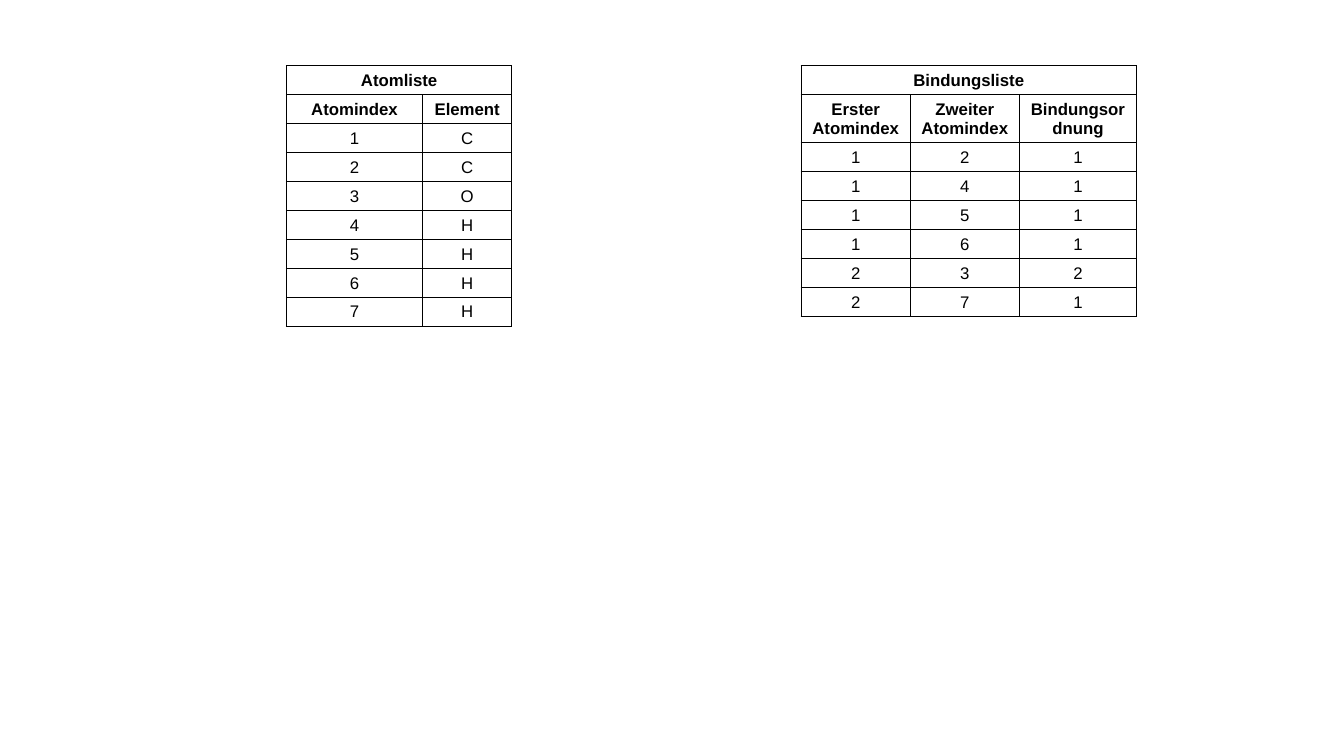
"""Builds a slide with the atom list and the bond list of a molecule."""
from lxml import etree
from pptx import Presentation
from pptx.dml.color import RGBColor
from pptx.enum.text import MSO_ANCHOR, PP_ALIGN
from pptx.oxml.ns import qn
from pptx.util import Cm, Pt

CENTER = PP_ALIGN.CENTER
MIDDLE = MSO_ANCHOR.MIDDLE
BLACK = "000000"
TOP = 1.66
ROW_HEIGHT = 0.73


def color(value):
    return RGBColor.from_string(value)


def add_borders(cell, value, width):
    tc_pr = cell._tc.get_or_add_tcPr()
    for i, side in enumerate(("a:lnL", "a:lnR", "a:lnT", "a:lnB")):
        ln = etree.Element(qn(side), w=str(Pt(width)))
        fill = etree.SubElement(ln, qn("a:solidFill"))
        etree.SubElement(fill, qn("a:srgbClr"), val=value)
        tc_pr.insert(i, ln)


tables = [
    {
        "title": "Atomliste",
        "left": 7.22,
        "widths": [3.43, 2.25],
        "header_height": ROW_HEIGHT,
        "header": ["Atomindex", "Element"],
        "rows": [(i, element) for i, element in enumerate("CCOHHHH", 1)],
    },
    {
        "title": "Bindungsliste",
        "left": 20.19,
        "widths": [2.75, 2.75, 2.95],
        "header_height": 1.21,
        "header": ["Erster Atomindex", "Zweiter Atomindex", "Bindungsordnung"],
        "rows": [(1, 2, 1), (1, 4, 1), (1, 5, 1), (1, 6, 1), (2, 3, 2), (2, 7, 1)],
    },
]

prs = Presentation()
prs.slide_width = Cm(33.87)
prs.slide_height = Cm(19.05)
s = prs.slides.add_slide(prs.slide_layouts[6])

for data in tables:
    widths = data["widths"]
    title_row = [data["title"]] + [""] * (len(widths) - 1)
    rows = [title_row, data["header"], *data["rows"]]
    heights = [ROW_HEIGHT, data["header_height"]] + [ROW_HEIGHT] * len(data["rows"])
    frame = s.shapes.add_table(len(rows), len(widths), Cm(data["left"]), Cm(TOP),
                               Cm(sum(widths)), Cm(sum(heights)))
    table = frame.table
    table.first_row = False
    table.horz_banding = False
    for column, width in zip(table.columns, widths):
        column.width = Cm(width)
    for row, height in zip(table.rows, heights):
        row.height = Cm(height)
    table.cell(0, 0).merge(table.cell(0, len(widths) - 1))

    for i, values in enumerate(rows):
        for j, value in enumerate(values):
            cell = table.cell(i, j)
            cell.fill.background()
            cell.vertical_anchor = MIDDLE
            add_borders(cell, BLACK, 1)
            if value == "":
                continue
            p = cell.text_frame.paragraphs[0]
            p.alignment = CENTER
            r = p.add_run()
            r.text = str(value)
            r.font.name = "Arial"
            r.font.size = Pt(12)
            r.font.bold = i < 2
            r.font.color.rgb = color(BLACK)

prs.save("out.pptx")
